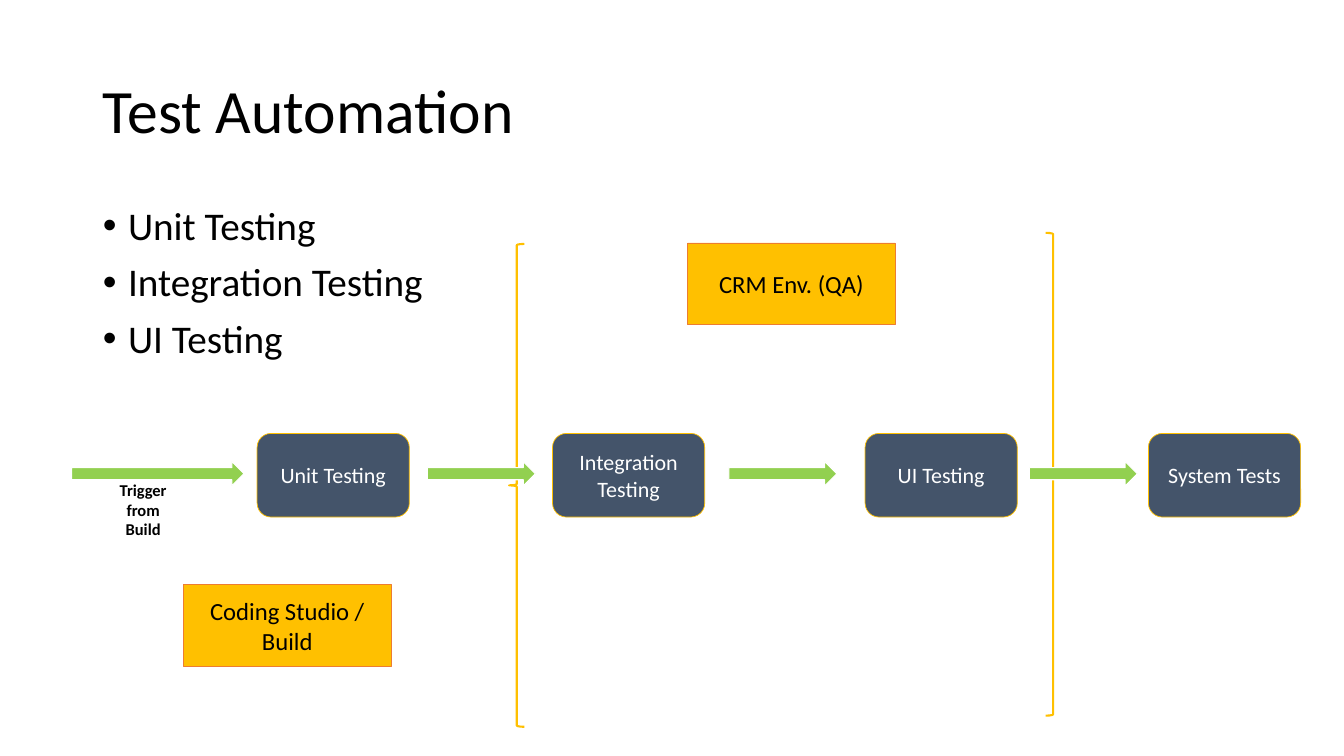
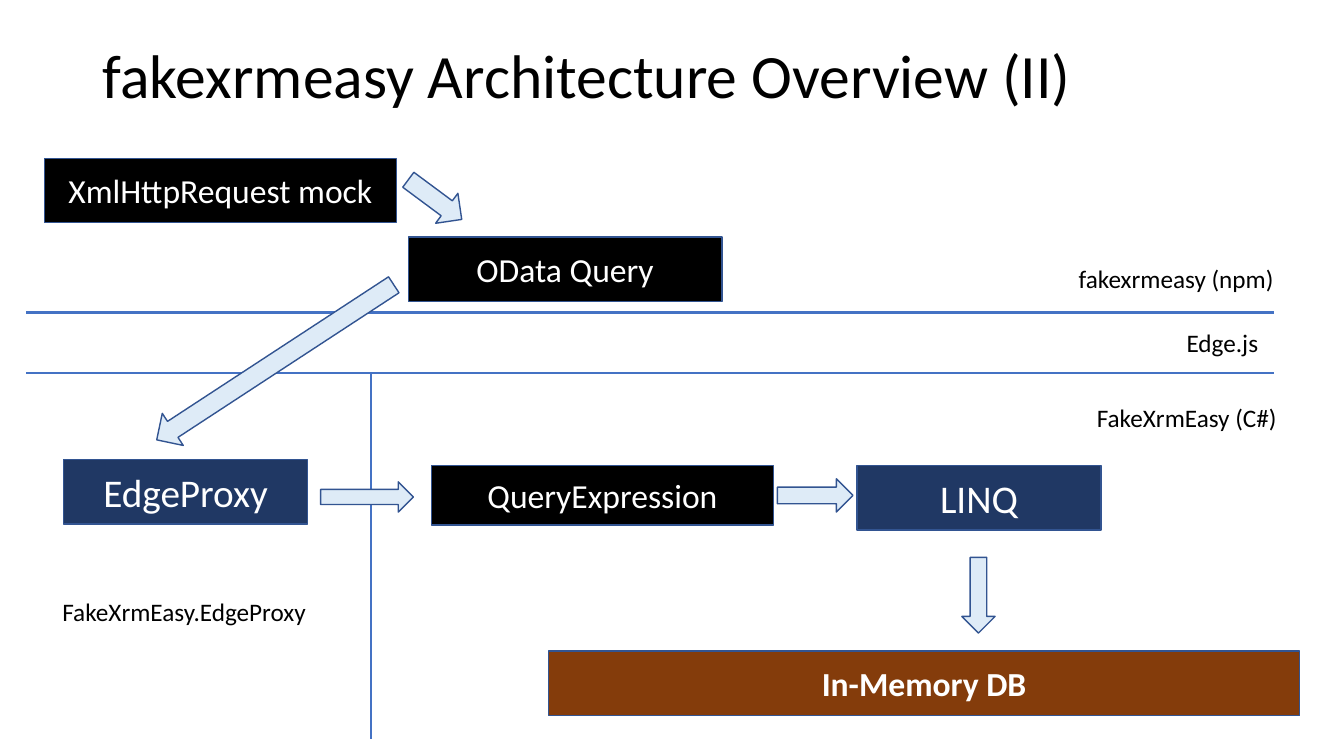
from lxml import etree
from pptx import Presentation
from pptx.dml.color import RGBColor
from pptx.enum.shapes import MSO_CONNECTOR, MSO_SHAPE
from pptx.enum.text import MSO_ANCHOR, MSO_AUTO_SIZE, PP_ALIGN
from pptx.oxml.ns import qn
from pptx.util import Inches, Pt

RECTANGLE = MSO_SHAPE.RECTANGLE
ROUNDED = MSO_SHAPE.ROUNDED_RECTANGLE
RIGHT_ARROW = MSO_SHAPE.RIGHT_ARROW
DOWN_ARROW = MSO_SHAPE.DOWN_ARROW
LEFT_BRACE = MSO_SHAPE.LEFT_BRACE
RIGHT_BRACE = MSO_SHAPE.RIGHT_BRACE
STRAIGHT = MSO_CONNECTOR.STRAIGHT
LEFT, CENTER = PP_ALIGN.LEFT, PP_ALIGN.CENTER
MIDDLE, TOP = MSO_ANCHOR.MIDDLE, MSO_ANCHOR.TOP
FIT_SHAPE, NO_FIT = MSO_AUTO_SIZE.SHAPE_TO_FIT_TEXT, MSO_AUTO_SIZE.NONE

FONT = "Calibri"
BLACK, WHITE = "000000", "FFFFFF"
SLATE, GREEN, AMBER, ORANGE = "44546A", "92D050", "FFC000", "ED7D31"
NAVY, BROWN, PALE_BLUE = "203864", "843C0B", "DEEBF7"
OUTLINE_BLUE, DIVIDER_BLUE = "325491", "4472C4"


def color(value):
    """Turn a hex string into a colour."""
    return RGBColor.from_string(value)


def place(shape, box):
    """Move and size a shape to a box given in inches."""
    shape.left, shape.top, shape.width, shape.height = map(Inches, box)


def inside(box, left, top, width, height):
    """Return a box whose position is relative to the corner of another."""
    return box[0] + left, box[1] + top, width, height


def style_text(paragraph, size, ink, alignment=LEFT, bold=False):
    """Format a whole paragraph."""
    paragraph.alignment = alignment
    font = paragraph.font
    font.name, font.size, font.bold = FONT, Pt(size), bold
    font.color.rgb = color(ink)


def add_figure(slide, kind, box, fill, line, weight, rotation=0):
    """Add a preset shape with its fill and outline."""
    shape = slide.shapes.add_shape(kind, *map(Inches, box))
    shape.shadow.inherit = False
    shape.rotation = rotation
    if fill:
        shape.fill.solid()
        shape.fill.fore_color.rgb = color(fill)
    else:
        shape.fill.background()
    shape.line.color.rgb = color(line)
    shape.line.width = Pt(weight)
    return shape


def add_box(slide, kind, box, text, fill, line, weight, size, ink, bold=False):
    """Add a preset shape with centred text."""
    frame = add_figure(slide, kind, box, fill, line, weight).text_frame
    frame.word_wrap = True
    frame.vertical_anchor = MIDDLE
    frame.text = text
    style_text(frame.paragraphs[0], size, ink, CENTER, bold)


def add_label(slide, box, text, size=18, alignment=LEFT, bold=False, wrap=False):
    """Add a text box in black."""
    frame = slide.shapes.add_textbox(*map(Inches, box)).text_frame
    frame.word_wrap = wrap
    frame.auto_size = FIT_SHAPE
    frame.text = text
    style_text(frame.paragraphs[0], size, BLACK, alignment, bold)


def add_divider(slide, start, end):
    """Add a straight blue line between two points."""
    line = slide.shapes.add_connector(STRAIGHT, *map(Inches, start + end))
    line.line.color.rgb = color(DIVIDER_BLUE)
    line.line.width = Pt(1.5)
    etree.SubElement(line._element.spPr, qn("a:effectLst"))


def add_titled_slide(presentation, layout, title, top):
    """Add a slide with the shared title style."""
    slide = presentation.slides.add_slide(presentation.slide_layouts[layout])
    place(slide.shapes.title, (0.92, top, 11.5, 1.45))
    frame = slide.shapes.title.text_frame
    frame.auto_size = NO_FIT
    frame.vertical_anchor = MIDDLE
    frame.text = title
    paragraph = frame.paragraphs[0]
    paragraph.line_spacing = 0.9
    style_text(paragraph, 44, BLACK)
    return slide


def fill_bullets(placeholder, box, items):
    """Fill the body placeholder with a bulleted list."""
    place(placeholder, box)
    frame = placeholder.text_frame
    frame.auto_size = NO_FIT
    frame.vertical_anchor = TOP
    frame.text = "\n".join(items)
    for index, paragraph in enumerate(frame.paragraphs):
        properties = paragraph._p.get_or_add_pPr()
        properties.set("marL", str(Inches(0.25)))
        properties.set("indent", str(Inches(-0.25)))
        bullet_font = etree.SubElement(properties, qn("a:buFont"))
        bullet_font.set("typeface", "Arial")
        etree.SubElement(properties, qn("a:buChar")).set("char", "•")
        paragraph.line_spacing = 0.9
        paragraph.space_before = Pt(10 if index else 0)
        style_text(paragraph, 28, BLACK)


def add_environments(slide, box):
    """Draw the braces and the two environment boxes."""
    for kind, left, top in ((LEFT_BRACE, 3.23, 0.11), (RIGHT_BRACE, 8.55, 0)):
        add_figure(slide, kind, inside(box, left, top, 0.15, 4.79),
                   None, AMBER, 1.5)
    for text, left, top in (("CRM Env. (QA)", 5, 0.1),
                            ("Coding Studio / Build", 0, 3.49)):
        add_box(slide, RECTANGLE, inside(box, left, top, 2.06, 0.81),
                text, AMBER, ORANGE, 0.5, 17.6, BLACK)


def add_pipeline(slide, box):
    """Draw the test stages, the arrows between them and the trigger."""
    stages = (("Unit Testing", 1.84), ("Integration Testing", 4.77),
              ("UI Testing", 7.87), ("System Tests", 10.68))
    for text, left in stages:
        add_box(slide, ROUNDED, inside(box, left, 0, 1.51, 0.83),
                text, SLATE, AMBER, 0.5, 15.7, WHITE)
    for left, width in ((0, 1.71), (3.53, 1.07), (6.52, 1.07), (9.5, 1.07)):
        add_figure(slide, RIGHT_ARROW, inside(box, left, 0.28, width, 0.24),
                   GREEN, WHITE, 0.75)
    add_label(slide, inside(box, 0.27, 0.41, 0.88, 0.69),
              "Trigger from Build", 11.8, CENTER, True, True)


def add_layers(slide, box):
    """Draw the layer dividers and their names."""
    left, top, width, height = box
    edge_bottom = top + 0.6
    for level in (top, edge_bottom):
        add_divider(slide, (left, level), (left + width, level))
    add_divider(slide, (left + 3.42, edge_bottom), (left + 3.42, top + height))
    names = (("fakexrmeasy (npm)", 10.34, -0.54, 2.16),
             ("Edge.js", 11.41, 0.1, 0.92),
             ("FakeXrmEasy (C#)", 10.52, 0.84, 2),
             ("FakeXrmEasy.EdgeProxy", 0.26, 2.77, 2.64))
    for text, name_left, name_top, name_width in names:
        add_label(slide, inside(box, name_left, name_top, name_width, 0.4), text)


def add_query_flow(slide, box):
    """Draw the components a query passes through and their arrows."""
    components = (
        ("XmlHttpRequest mock", (0, 0, 3.49, 0.64), BLACK, 24, False),
        ("OData Query", (3.61, 0.78, 3.11, 0.64), BLACK, 24, False),
        ("EdgeProxy", (0.19, 2.99, 2.42, 0.64), NAVY, 28, False),
        ("QueryExpression", (3.84, 3.05, 3.39, 0.59), BLACK, 24, False),
        ("LINQ", (8.06, 3.05, 2.42, 0.64), NAVY, 28, False),
        ("In-Memory DB", (5, 4.89, 7.45, 0.64), BROWN, 24, True),
    )
    for text, position, fill, size, bold in components:
        add_box(slide, RECTANGLE, inside(box, *position), text, fill,
                OUTLINE_BLUE, 1, size, WHITE, bold)
    arrows = (
        ((3.69, 0.08, 0.37, 0.66), 306.6),
        ((2.1, 0.62, 0.38, 2.81), 56.8),
        ((3.05, 2.9, 0.3, 0.92), 270),
        ((7.48, 2.97, 0.33, 0.75), 270),
        ((9.1, 3.96, 0.33, 0.75), 0),
    )
    for position, rotation in arrows:
        add_figure(slide, DOWN_ARROW, inside(box, *position),
                   PALE_BLUE, OUTLINE_BLUE, 1, rotation)


def build_automation_slide(presentation):
    """Build the test automation slide."""
    slide = add_titled_slide(presentation, 1, "Test Automation", 0.4)
    fill_bullets(slide.placeholders[1], (0.92, 2, 11.5, 4.76),
                 ("Unit Testing", "Integration Testing", "UI Testing"))
    add_environments(slide, (1.82, 2.31, 8.7, 4.9))
    add_pipeline(slide, (0.71, 4.3, 12.19, 1.1))


def build_architecture_slide(presentation):
    """Build the architecture overview slide."""
    slide = add_titled_slide(presentation, 5,
                             "fakexrmeasy Architecture Overview (II)", 0.05)
    add_layers(slide, (0.26, 3.1, 12.38, 4.23))
    add_query_flow(slide, (0.44, 1.57, 12.45, 5.53))


def main():
    """Build and save the presentation."""
    presentation = Presentation()
    presentation.slide_width = Inches(13.33)
    presentation.slide_height = Inches(7.5)
    build_automation_slide(presentation)
    build_architecture_slide(presentation)
    presentation.save("out.pptx")


if __name__ == "__main__":
    main()
